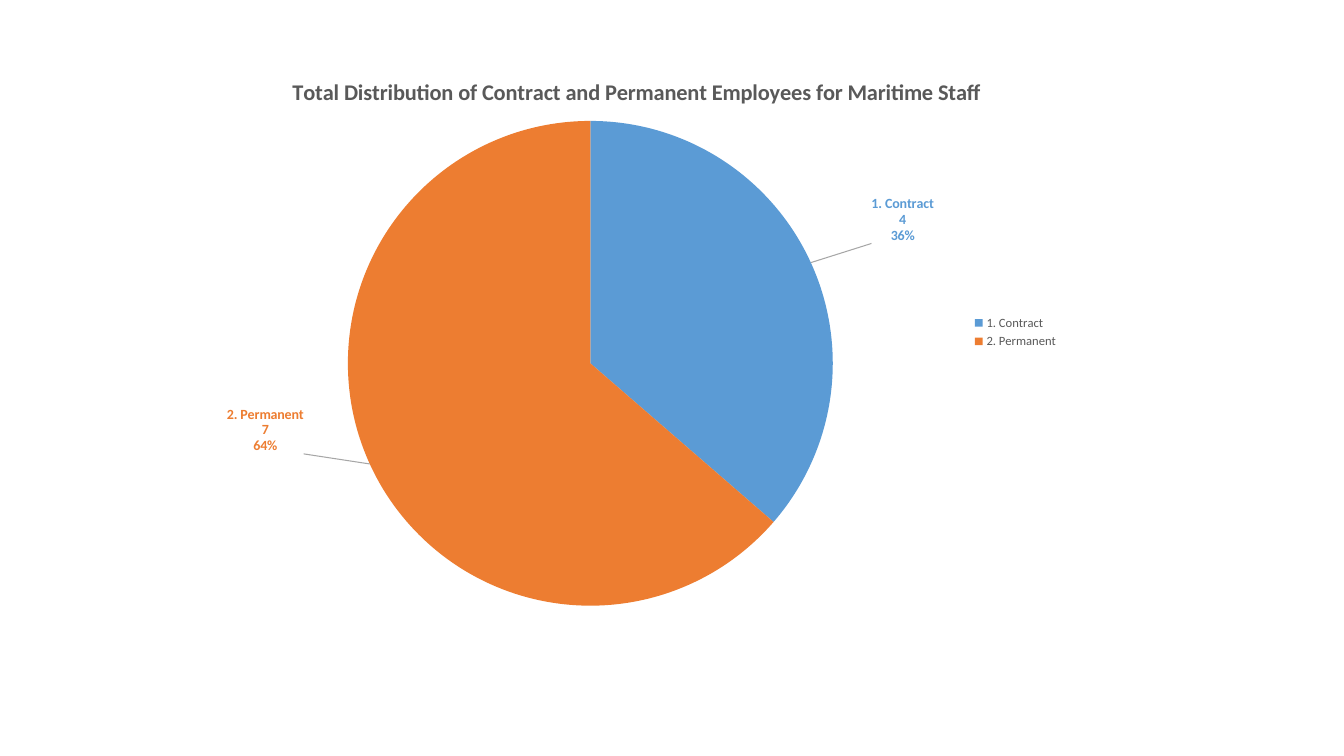
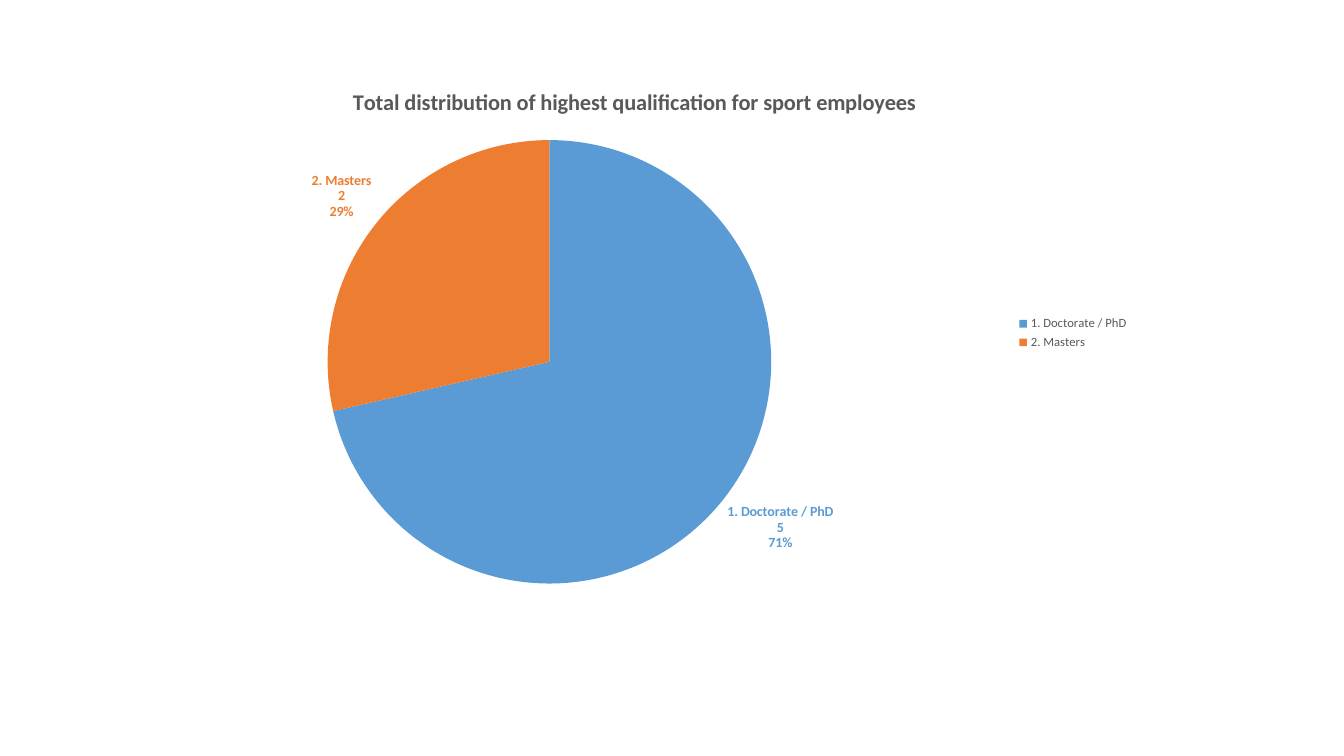
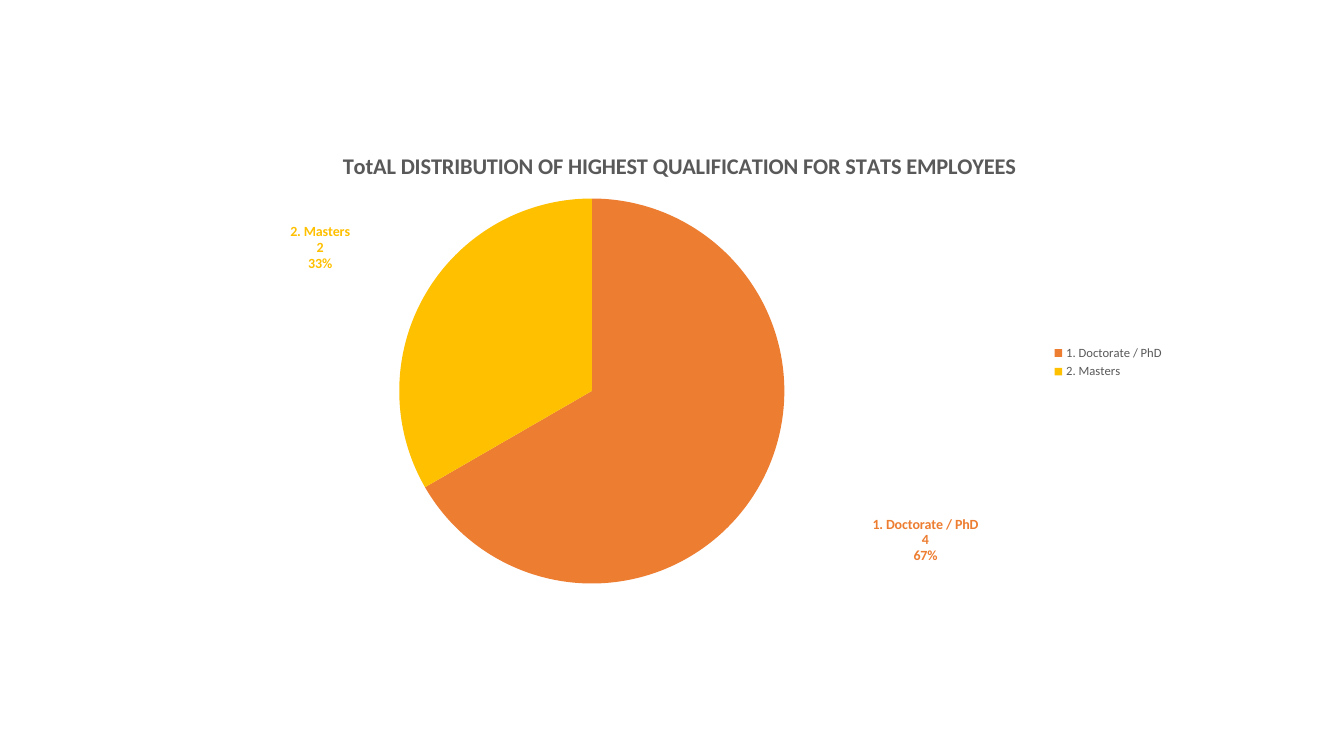
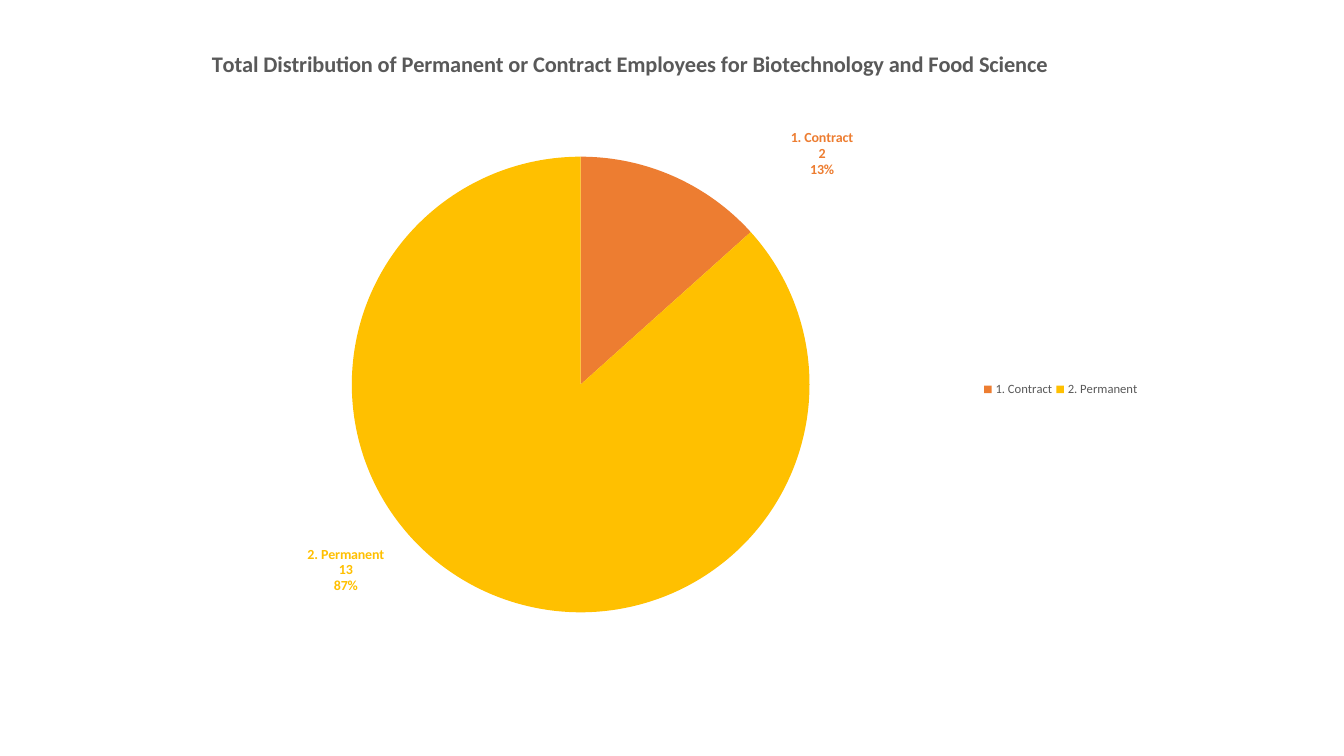
import math

import pptx
import pptx.chart.data
import pptx.dml.color
import pptx.enum.chart
import pptx.oxml
import pptx.oxml.ns
import pptx.util
from pptx.util import Inches

FONT = "Calibri"
GREY, LEADER = "595959", "A6A6A6"
BLUE, ORANGE, GOLD = "5B9BD5", "ED7D31", "FFC000"
LABEL_HEIGHT = 0.47
LABEL_GAP = 0.06

# Content. All places are inches on the slide: frame is left, top, width, height;
# pie is left, top, diameter; a slice is name, value, colour, label width, label centre
# (None leaves the label beside its slice).
SLIDES = [
    dict(title="Total Distribution of Contract and Permanent Employees for Maritime Staff",
         frame=(1.94, 0.49, 8.68, 5.66), title_at=(2.86, 0.72), pie=(3.45, 1.2, 4.81),
         legend_at=(9.63, 3.09), leaders=True,
         slices=[("1. Contract", 4, BLUE, 0.63, (8.96, 2.18)),
                 ("2. Permanent", 7, ORANGE, 0.78, (2.62, 4.27))]),
    dict(title="Total distribution of highest qualification for sport employees",
         frame=(1.28, 0.62, 10.04, 5.43), title_at=(3.46, 0.82), pie=(3.25, 1.39, 4.4),
         legend_at=(10.07, 3.1), leaders=False,
         slices=[("1. Doctorate / PhD", 5, BLUE, 1.07, None),
                 ("2. Masters", 2, ORANGE, 0.62, None)]),
    dict(title="TotAL DISTRIBUTION OF HIGHEST QUALIFICATION FOR STATS EMPLOYEES",
         frame=(1.75, 1.26, 9.91, 4.72), title_at=(3.36, 1.46), pie=(3.96, 1.97, 3.82),
         legend_at=(10.42, 3.39), leaders=False,
         slices=[("1. Doctorate / PhD", 4, ORANGE, 1.07, (9.19, 5.36)),
                 ("2. Masters", 2, GOLD, 0.62, (3.16, 2.46))]),
    dict(title="Total Distribution of Permanent or Contract Employees for "
               "Biotechnology and Food Science",
         frame=(0.63, 0.28, 12.57, 6.12), title_at=(2.06, 0.45), pie=(3.49, 1.56, 4.54),
         legend_at=(9.72, 3.73), legend_size=(1.6, 0.3), leaders=False,
         slices=[("1. Contract", 2, ORANGE, 0.63, (8.16, 1.53)),
                 ("2. Permanent", 13, GOLD, 0.78, (3.42, 5.68))]),
]


def rgb(value):
    return pptx.dml.color.RGBColor.from_string(value)


def style(font, size, color, bold=False):
    font.name, font.size, font.bold = FONT, pptx.util.Pt(size), bold
    font.color.rgb = rgb(color)


def chart_xml(body):
    return pptx.oxml.parse_xml(body.replace(
        ">", " " + pptx.oxml.ns.nsdecls("c", "a") + ">", 1))


def set_layout(parent, after, values, absolute=True, inner=False):
    """Give a chart part a manual layout, placed behind the child named after."""
    tag = pptx.oxml.ns.qn("c:layout")
    for old in parent.findall(tag):
        parent.remove(old)
    target = '<c:layoutTarget val="inner"/>' if inner else ""
    modes = '<c:xMode val="edge"/><c:yMode val="edge"/>' if absolute else ""
    numbers = "".join(f'<c:{key} val="{value:.4f}"/>' for key, value in zip("xywh", values))
    layout = chart_xml(f"<c:layout><c:manualLayout>{target}{modes}{numbers}"
                       "</c:manualLayout></c:layout>")
    if after:
        parent.find(pptx.oxml.ns.qn(after)).addnext(layout)
    else:
        parent.insert(0, layout)


def default_centre(pie, turn, width):
    """Centre of a label whose near corner touches the pie at this share of a turn."""
    left, top, diameter = pie
    radius = diameter / 2
    dx, dy = math.sin(turn * math.tau), -math.cos(turn * math.tau)
    reach = radius + LABEL_GAP
    return (left + radius + dx * reach + math.copysign(width / 2, dx),
            top + radius + dy * reach + math.copysign(LABEL_HEIGHT / 2, dy))


def style_labels(series, content):
    labels = series.data_labels
    labels.show_value = labels.show_category_name = labels.show_percentage = True
    labels.position = pptx.enum.chart.XL_LABEL_POSITION.OUTSIDE_END
    style(labels.font, 10, BLUE, True)

    _, _, frame_width, frame_height = content["frame"]
    total = sum(item[1] for item in content["slices"])
    before = 0
    for point_index, (_, value, color, width, centre) in enumerate(content["slices"]):
        point = series.points[point_index]
        point.format.fill.solid()
        point.format.fill.fore_color.rgb = rgb(color)
        style(point.data_label.font, 10, color, True)
        point.data_label.position = pptx.enum.chart.XL_LABEL_POSITION.OUTSIDE_END
        label = labels._element.findall(pptx.oxml.ns.qn("c:dLbl"))[point_index]
        for flag in ("c:showVal", "c:showCatName", "c:showPercent"):
            label.find(pptx.oxml.ns.qn(flag)).set("val", "1")
        label.append(chart_xml("<c:separator>\n</c:separator>"))
        if centre:
            x, y = default_centre(content["pie"], (before + value / 2) / total, width)
            set_layout(label, "c:idx", ((centre[0] - x) / frame_width,
                                        (centre[1] - y) / frame_height), absolute=False)
        before += value

    # Separator and leader lines close the label settings
    for old in labels._element.findall(pptx.oxml.ns.qn("c:showLeaderLines")):
        labels._element.remove(old)
    labels._element.append(chart_xml("<c:separator>\n</c:separator>"))
    shown = int(content["leaders"])
    labels._element.append(chart_xml(
        f'<c:showLeaderLines val="{shown}"></c:showLeaderLines>'))
    if shown:
        labels._element.append(chart_xml(
            '<c:leaderLines><c:spPr><a:ln w="9525"><a:solidFill>'
            f'<a:srgbClr val="{LEADER}"/></a:solidFill></a:ln></c:spPr></c:leaderLines>'))


def add_pie(slide, content):
    left, top, width, height = content["frame"]

    def share(place, size=()):
        x, y = place
        return [(x - left) / width, (y - top) / height,
                *(part / whole for part, whole in zip(size, (width, height)))]

    data = pptx.chart.data.CategoryChartData()
    data.categories = [item[0] for item in content["slices"]]
    data.add_series("Series 1", [item[1] for item in content["slices"]])
    chart = slide.shapes.add_chart(pptx.enum.chart.XL_CHART_TYPE.PIE,
                                   *map(Inches, content["frame"]), data).chart
    style(chart.font, 10, "000000")
    chart.plots[0].vary_by_categories = True

    # Title
    chart.has_title = True
    heading = chart.chart_title.text_frame
    heading.text = content["title"]
    style(heading.paragraphs[0].font, 16, GREY, True)
    set_layout(chart.chart_title._element, "c:tx", share(content["title_at"]))

    # Legend
    chart.has_legend = True
    chart.legend.position = pptx.enum.chart.XL_LEGEND_POSITION.RIGHT
    chart.legend.include_in_layout = False
    style(chart.legend.font, 9, GREY)
    set_layout(chart.legend._element, "c:legendPos",
               share(content["legend_at"], content.get("legend_size", ())))

    # Pie and its labels
    x, y, diameter = content["pie"]
    plot_area = chart._chartSpace.find(".//" + pptx.oxml.ns.qn("c:plotArea"))
    set_layout(plot_area, None, share((x, y), (diameter, diameter)), inner=True)
    style_labels(chart.plots[0].series[0], content)


def main():
    deck = pptx.Presentation()
    deck.slide_width, deck.slide_height = Inches(13.33), Inches(7.5)
    for content in SLIDES:
        add_pie(deck.slides.add_slide(deck.slide_layouts[6]), content)
    deck.save("out.pptx")


if __name__ == "__main__":
    main()
